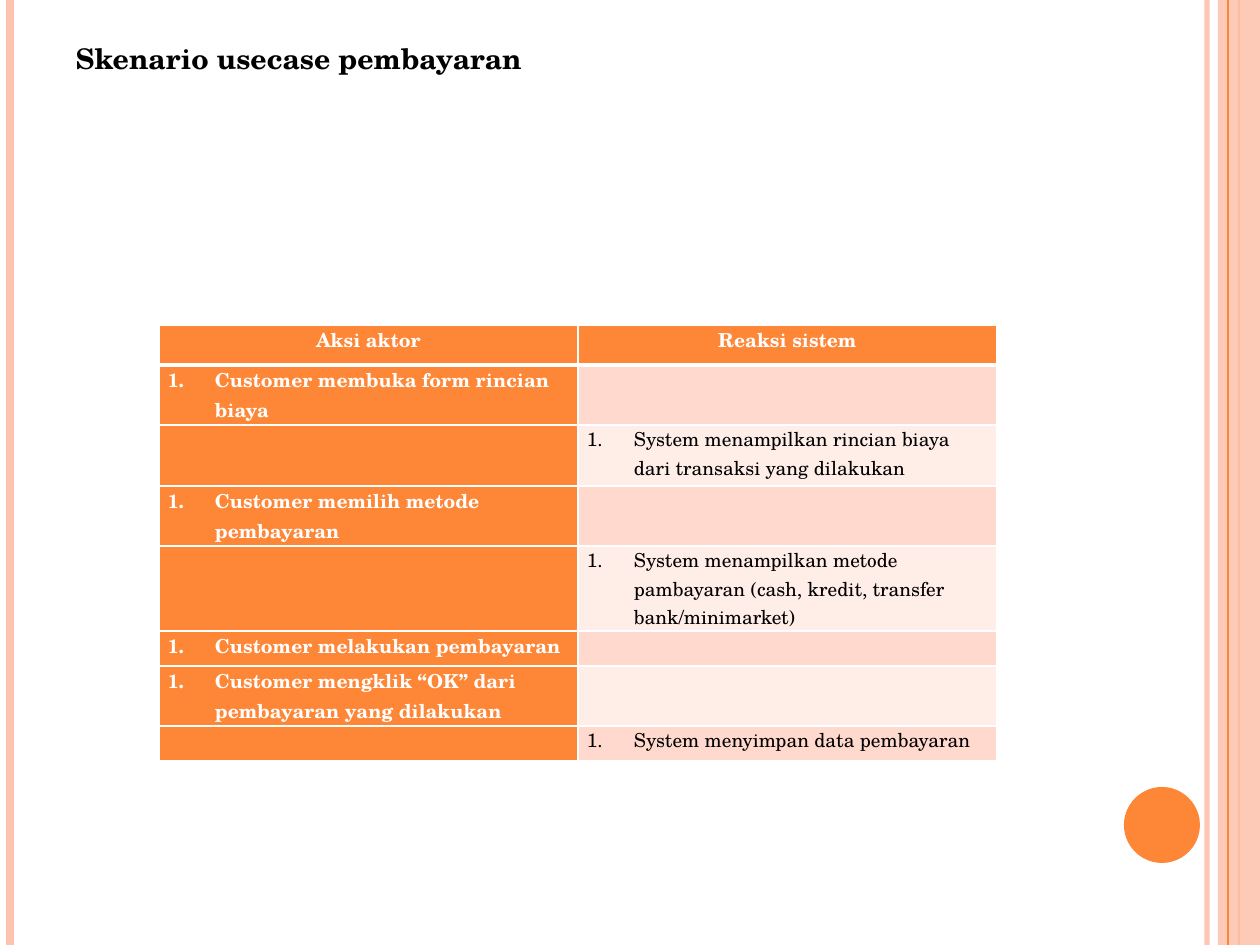
from lxml.etree import SubElement
from pptx import Presentation
from pptx.dml.color import RGBColor
from pptx.enum.shapes import MSO_CONNECTOR, MSO_SHAPE
from pptx.enum.text import MSO_ANCHOR, PP_ALIGN
from pptx.oxml.ns import qn
from pptx.util import Emu, Pt

ORANGE = RGBColor(0xFE, 0x86, 0x37)
PEACH = RGBColor(0xFE, 0xC3, 0xAE)
BAND_DARK = RGBColor(0xFF, 0xD9, 0xCE)
BAND_LIGHT = RGBColor(0xFF, 0xED, 0xE8)
WHITE = RGBColor(0xFF, 0xFF, 0xFF)
BLACK = RGBColor(0, 0, 0)
FONT = "TeX Gyre Schola"
TEXT_SIZE = 11
NUMBER_INDENT = 47

HEADERS = ("Aksi aktor", "Reaksi sistem")
STEPS = [
    (60, "Customer membuka form rincian biaya", ""),
    (61, "", "System menampilkan rincian biaya dari transaksi yang dilakukan"),
    (60, "Customer memilih metode pembayaran", ""),
    (85, "", "System menampilkan metode pambayaran (cash, kredit, transfer bank/minimarket)"),
    (35, "Customer melakukan pembayaran", ""),
    (60, "Customer mengklik “OK” dari pembayaran yang dilakukan", ""),
    (35, "", "System menyimpan data pembayaran"),
]


def px(value):
    return Emu(round(value * 914400 / 126))


def write_text(frame, text, size=TEXT_SIZE, color=BLACK, bold=False,
               align=PP_ALIGN.LEFT, numbered=False):
    frame.word_wrap = True
    paragraph = frame.paragraphs[0]
    paragraph.alignment = align
    if not text:
        SubElement(paragraph._p, qn("a:endParaRPr"), sz=str(size * 100))
        return
    if numbered:
        properties = paragraph._p.get_or_add_pPr()
        properties.set("marL", str(px(NUMBER_INDENT)))
        properties.set("indent", str(-px(NUMBER_INDENT)))
        SubElement(properties, qn("a:buFont"), typeface="+mj-lt")
        SubElement(properties, qn("a:buAutoNum"), type="arabicPeriod")
    run = paragraph.add_run()
    run.text = text
    run.font.name = FONT
    run.font.size = Pt(size)
    run.font.bold = bold
    run.font.color.rgb = color


def set_opacity(element, percent):
    for color in element.iter(qn("a:srgbClr")):
        SubElement(color, qn("a:alpha"), val=str(percent * 1000))


class SlideBuilder:
    def __init__(self, slide, font_color=WHITE, border_color=WHITE):
        self.slide = slide
        self.font_color = font_color
        self.border_color = border_color

    def rail(self, x, color, width, opacity=100):
        line = self.slide.shapes.add_connector(
            MSO_CONNECTOR.STRAIGHT, px(x), 0, px(x), px(945))
        line.line.color.rgb = color
        line.line.width = Pt(width)
        SubElement(line._element.spPr, qn("a:effectLst"))
        if opacity < 100:
            set_opacity(line._element.spPr, opacity)

    def shape(self, kind, x, y, width, height, color, opacity=100):
        shape = self.slide.shapes.add_shape(kind, px(x), px(y), px(width), px(height))
        shape.shadow.inherit = False
        shape.fill.solid()
        shape.fill.fore_color.rgb = color
        shape.line.fill.background()
        if opacity < 100:
            set_opacity(shape._element.spPr, opacity)

    def title(self, text, x, y, width, height):
        title = self.slide.shapes.title
        title.left, title.top, title.width, title.height = map(px, (x, y, width, height))
        title.text_frame.vertical_anchor = MSO_ANCHOR.TOP
        title.text_frame.margin_top = px(3)
        write_text(title.text_frame, text, size=16.2, bold=True)

    def cell(self, cell, text, fill, top=1, bottom=1, **text_format):
        cell.margin_left = cell.margin_right = px(9)
        cell.margin_top = cell.margin_bottom = 0
        properties = cell._tc.get_or_add_tcPr()
        for side, width in (("L", 1), ("R", 1), ("T", top), ("B", bottom)):
            border = SubElement(properties, qn(f"a:ln{side}"), w=str(Pt(width)))
            border_fill = SubElement(border, qn("a:solidFill"))
            SubElement(border_fill, qn("a:srgbClr"), val=str(self.border_color))
        cell.fill.solid()
        cell.fill.fore_color.rgb = fill
        write_text(cell.text_frame, text, **text_format)

    def scenario_table(self, x, y, column_width, header_height, headers, steps):
        heights = [header_height] + [step[0] for step in steps]
        table = self.slide.shapes.add_table(
            len(heights), 2, px(x), px(y), px(2 * column_width), px(sum(heights))).table
        table.first_row = table.horz_banding = False
        for column in table.columns:
            column.width = px(column_width)
        for row, height in zip(table.rows, heights):
            row.height = px(height)
        for index, text in enumerate(headers):
            self.cell(table.cell(0, index), text, ORANGE, bottom=3, bold=True,
                      color=self.font_color, align=PP_ALIGN.CENTER)
        for index, (_, action, reaction) in enumerate(steps, start=1):
            top = 3 if index == 1 else 1
            band = BAND_DARK if index % 2 else BAND_LIGHT
            self.cell(table.cell(index, 0), action, ORANGE, top=top, bold=True,
                      color=self.font_color, numbered=True)
            self.cell(table.cell(index, 1), reaction, band, top=top, numbered=True)


def main():
    presentation = Presentation()
    presentation.slide_width, presentation.slide_height = px(1260), px(945)
    builder = SlideBuilder(presentation.slides.add_slide(presentation.slide_layouts[5]))
    builder.rail(1207, PEACH, 3, opacity=93)
    builder.rail(10, PEACH, 4.5)
    builder.rail(1239, ORANGE, 1.5)
    builder.shape(MSO_SHAPE.RECTANGLE, 1218, 0, 42, 945, PEACH, opacity=87)
    builder.rail(1228, ORANGE, 0.75)
    builder.shape(MSO_SHAPE.OVAL, 1124, 787, 76, 76, ORANGE)
    builder.title("Skenario usecase pembayaran", 63, 38, 1029, 78)
    builder.scenario_table(159, 325, 419, 40, HEADERS, STEPS)
    presentation.save("out.pptx")


if __name__ == "__main__":
    main()
